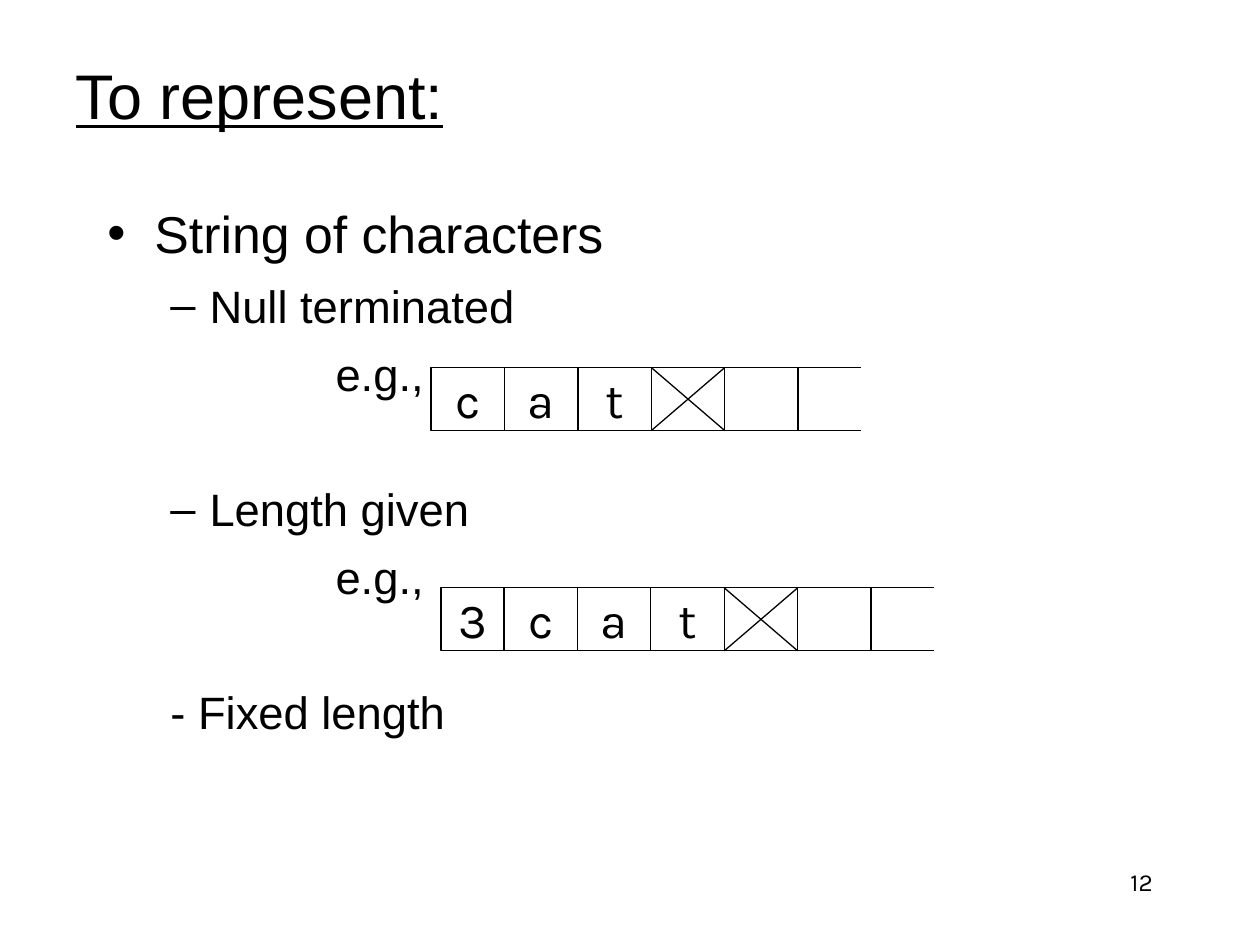
from dataclasses import dataclass

from lxml.etree import SubElement
from pptx import Presentation
from pptx.dml.color import RGBColor
from pptx.enum.shapes import MSO_CONNECTOR, MSO_SHAPE
from pptx.enum.text import MSO_ANCHOR, MSO_AUTO_SIZE, PP_ALIGN
from pptx.oxml.ns import qn
from pptx.util import Cm, Pt


@dataclass(frozen=True)
class Theme:
    ink: RGBColor = RGBColor(0, 0, 0)
    paper: RGBColor = RGBColor(255, 255, 255)
    sans: str = "Arial"
    mono: str = "Karla"
    title: float = 36
    head: float = 29.6
    item: float = 25.9
    cell: float = 28
    page: float = 14
    line: float = 0.75


theme = Theme()


def write(para, text, face, size):
    """Add one run of text in the ink colour."""
    run = para.add_run()
    run.text = text
    run.font.name = face
    run.font.size = Pt(size)
    run.font.color.rgb = theme.ink
    return run


def stroke(group, x1, y1, x2, y2):
    """Draw a thin line between two points given in centimetres."""
    line = group.shapes.add_connector(
        MSO_CONNECTOR.STRAIGHT, Cm(x1), Cm(y1), Cm(x2), Cm(y2))
    line.line.color.rgb = theme.ink
    line.line.width = Pt(theme.line)
    SubElement(line._element.spPr, qn("a:effectLst"))


deck = Presentation()
deck.slide_width, deck.slide_height = Cm(25.4), Cm(19.05)
slide = deck.slides.add_slide(deck.slide_layouts[1])

# Title
title = slide.shapes.title
title.left, title.top, title.width, title.height = Cm(1.27), Cm(0.85), Cm(21.59), Cm(2.12)
title.text_frame.auto_size = MSO_AUTO_SIZE.NONE
title.text_frame.vertical_anchor = MSO_ANCHOR.MIDDLE
para = title.text_frame.paragraphs[0]
para.alignment = PP_ALIGN.LEFT
write(para, "To represent:", theme.sans, theme.title).font.underline = True

# List: text, level, bullet, left indent, first-line indent, size, space before
items = [
    ("String of characters", 0, "•", 0.95, -0.95, theme.head, 0),
    ("Null terminated", 1, "–", 2.06, -0.79, theme.item, 8),
    ("e.g.,", 1, None, 4.6, 0, theme.item, 8),
    ("Length given", 1, "–", 2.06, -0.79, theme.item, 46),
    ("e.g.,", 1, None, 4.6, 0, theme.item, 8),
    ("- Fixed length", 1, None, 2.06, -0.79, theme.item, 46),
]
body = slide.placeholders[1]
body.left, body.top, body.width, body.height = Cm(1.91), Cm(3.94), Cm(21.59), Cm(11.43)
frame = body.text_frame
frame.auto_size = MSO_AUTO_SIZE.NONE
for i, (text, level, mark, left, first, size, gap) in enumerate(items):
    para = frame.add_paragraph() if i else frame.paragraphs[0]
    para.level = level
    para.space_before = Pt(gap)
    props = para._p.get_or_add_pPr()
    props.set("marL", str(Cm(left)))
    props.set("indent", str(Cm(first)))
    if mark:
        SubElement(props, qn("a:buChar")).set("char", mark)
    else:
        SubElement(props, qn("a:buNone"))
    write(para, text, theme.sans, size)

# Memory rows: left, top, width of the first cell, cells ("×" is crossed out)
wide, high = 1.48, 1.27
rows = [
    (8.69, 7.41, wide, ["c", "a", "t", "×", ""]),
    (8.89, 11.85, 1.27, ["3", "c", "a", "t", "×", ""]),
]
for x, top, width, cells in rows:
    group = slide.shapes.add_group_shape()
    low = top + high
    for mark in cells:
        box = group.shapes.add_shape(
            MSO_SHAPE.RECTANGLE, Cm(x), Cm(top), Cm(width), Cm(high))
        box.shadow.inherit = False
        box.fill.solid()
        box.fill.fore_color.rgb = theme.paper
        box.line.color.rgb = theme.ink
        box.line.width = Pt(theme.line)
        if mark == "×":
            stroke(group, x, top, x + width, low)
            stroke(group, x + width, top, x, low)
        elif mark:
            box.text_frame.word_wrap = False
            box.text_frame.vertical_anchor = MSO_ANCHOR.MIDDLE
            para = box.text_frame.paragraphs[0]
            para.alignment = PP_ALIGN.CENTER
            write(para, mark, theme.mono, theme.cell)
        x += width
        width = wide
    for y in (top, low):
        stroke(group, x, y, x + 1.27, y)

# Page number
page = slide.shapes.add_textbox(Cm(18.2), Cm(17.36), Cm(5.29), Cm(1.27))
page.text_frame.word_wrap = True
para = page.text_frame.paragraphs[0]
para.alignment = PP_ALIGN.RIGHT
write(para, "12", theme.mono, theme.page)

deck.save("out.pptx")
